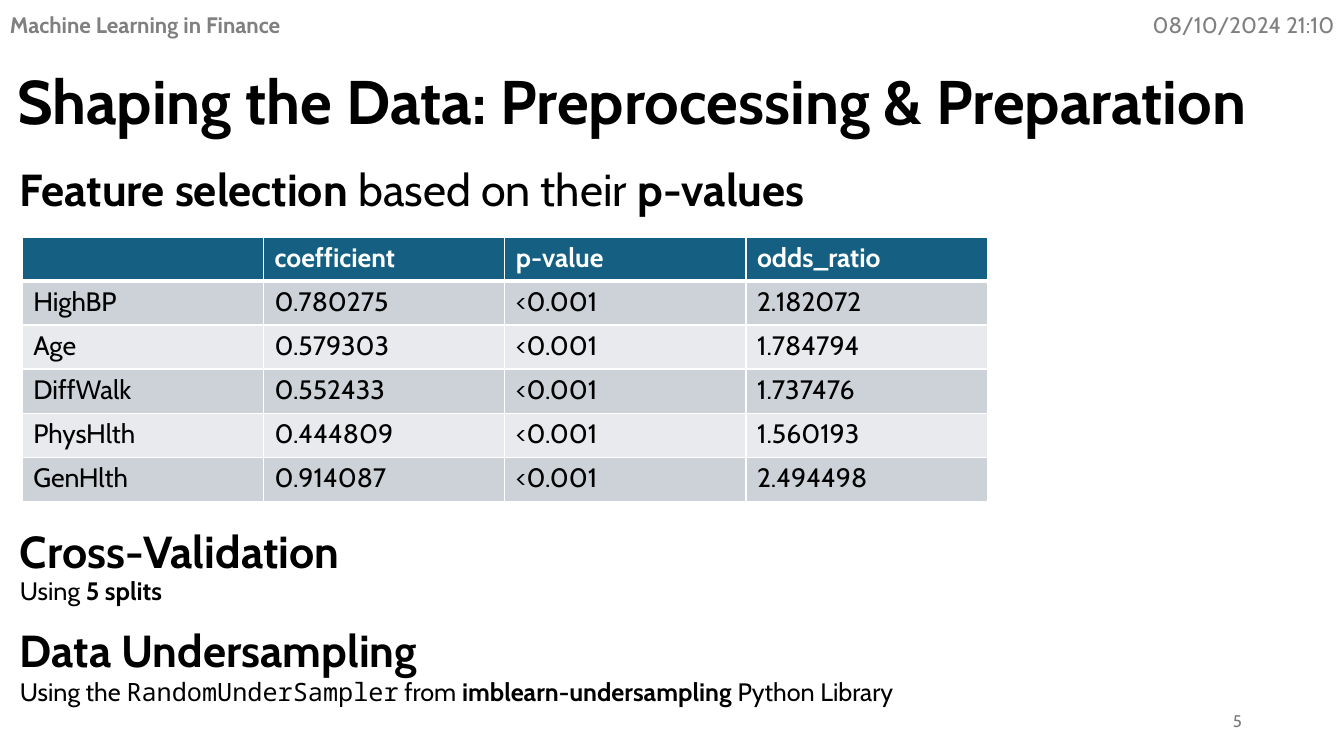
"""Build the preprocessing and preparation slide."""
from typing import NamedTuple, Optional

from lxml import etree
from pptx import Presentation
from pptx import util as u
from pptx.dml.color import RGBColor
from pptx.enum import text
from pptx.oxml import ns

FONT, MONO = "Cabin", "Noto Sans Mono"
BLACK, WHITE, GRAY, PAGE_GRAY = "000000", "FFFFFF", "808080", "797979"
HEADER_FILL, BAND_FILLS = "156082", ("CCD2D8", "E8EAED")
LEFT, ALIGN_RIGHT = text.PP_ALIGN.LEFT, text.PP_ALIGN.RIGHT
TOP, MIDDLE = text.MSO_ANCHOR.TOP, text.MSO_ANCHOR.MIDDLE
COL_WIDTH, ROW_HEIGHT = 6.08, 1.11


class Run(NamedTuple):
    text: str
    bold: bool = False
    font: str = FONT


class Label(NamedTuple):
    left: float
    top: float
    width: float
    height: float
    size: int
    runs: tuple[Run, ...]
    color: str = BLACK
    align: text.PP_ALIGN = LEFT
    anchor: text.MSO_ANCHOR = TOP
    spacing: Optional[float] = None


def heading(top: float, *runs: Run) -> Label:
    return Label(0.25, top, 31.9, 1.63, 32, runs)


def detail(top: float, *runs: Run) -> Label:
    return Label(0.25, top, 31.9, 1.02, 18, runs)


LABELS = (
    Label(27.15, 0.23, 6.73, 0.91, 16, (Run("08/10/2024 21:10"),),
          GRAY, ALIGN_RIGHT, spacing=0.9),
    Label(0, 0.23, 8.18, 0.91, 16, (Run("Machine Learning in Finance", True),),
          GRAY, spacing=0.9),
    Label(0.18, 1.3, 33.07, 2.67, 44,
          (Run("Shaping the Data: Preprocessing & Preparation", True),),
          anchor=MIDDLE, spacing=0.9),
    heading(3.96, Run("Feature selection ", True), Run("based on their "),
            Run("p-values", True)),
    Label(23.93, 17.65, 7.62, 1.02, 12, (Run("5"),),
          PAGE_GRAY, ALIGN_RIGHT, MIDDLE),
    heading(13.08, Run("Cross-Validation", True)),
    detail(14.38, Run("Using "), Run("5 splits", True)),
    heading(15.57, Run("Data Undersampling", True)),
    detail(16.92, Run("Using the "), Run("RandomUnderSampler", font=MONO),
           Run(" from "), Run("imblearn-undersampling ", True),
           Run("Python Library")),
)

FEATURES = (
    ("", "coefficient", "p-value", "odds_ratio"),
    ("HighBP", "0.780275", "<0.001", "2.182072"),
    ("Age", "0.579303", "<0.001", "1.784794"),
    ("DiffWalk", "0.552433", "<0.001", "1.737476"),
    ("PhysHlth", "0.444809", "<0.001", "1.560193"),
    ("GenHlth", "0.914087", "<0.001", "2.494498"),
)


def rgb(value: str) -> RGBColor:
    return RGBColor.from_string(value)


def write(p, runs: tuple[Run, ...], size: int, color: str) -> None:
    p.font.size = u.Pt(size)
    p.font.name = FONT
    p.font.color.rgb = rgb(color)
    same_weight = len({run.bold for run in runs}) == 1
    if same_weight:
        p.font.bold = runs[0].bold
    for run in runs:
        r = p.add_run()
        r.text = run.text
        if not same_weight:
            r.font.bold = run.bold
        if run.font != FONT:
            r.font.name = run.font


def add_label(s, label: Label) -> None:
    sp = s.shapes.add_textbox(u.Cm(label.left), u.Cm(label.top),
                              u.Cm(label.width), u.Cm(label.height))
    tf = sp.text_frame
    tf.word_wrap = True
    tf.vertical_anchor = label.anchor
    p = tf.paragraphs[0]
    p.alignment = label.align
    p.line_spacing = label.spacing
    write(p, label.runs, label.size, label.color)


def add_border(cell, side: str, width: float) -> None:
    tc_pr = cell._tc.get_or_add_tcPr()
    line = etree.SubElement(tc_pr, ns.qn(f"a:ln{side}"), w=str(u.Pt(width)))
    fill = etree.SubElement(line, ns.qn("a:solidFill"))
    etree.SubElement(fill, ns.qn("a:srgbClr"), val=WHITE)


def add_features(s) -> None:
    n_rows, n_cols = len(FEATURES), len(FEATURES[0])
    table = s.shapes.add_table(n_rows, n_cols, u.Cm(0.56), u.Cm(5.97),
                               u.Cm(n_cols * COL_WIDTH),
                               u.Cm(n_rows * ROW_HEIGHT)).table
    for column in table.columns:
        column.width = u.Cm(COL_WIDTH)
    for i, values in enumerate(FEATURES):
        table.rows[i].height = u.Cm(ROW_HEIGHT)
        header = i == 0
        for j, value in enumerate(values):
            cell = table.cell(i, j)
            cell.margin_left = cell.margin_right = u.Cm(0.28)
            cell.margin_top = cell.margin_bottom = u.Cm(0.13)
            for side in "LRTB":
                under_header = (i, side) in ((0, "B"), (1, "T"))
                add_border(cell, side, 3 if under_header else 1)
            cell.fill.solid()
            cell.fill.fore_color.rgb = rgb(
                HEADER_FILL if header else BAND_FILLS[(i - 1) % 2])
            if value:
                write(cell.text_frame.paragraphs[0], (Run(value, header),),
                      19, WHITE if header else BLACK)


def main() -> None:
    prs = Presentation()
    prs.slide_width, prs.slide_height = u.Cm(33.87), u.Cm(19.05)
    s = prs.slides.add_slide(prs.slide_layouts[6])
    for label in LABELS:
        add_label(s, label)
    add_features(s)
    prs.save("out.pptx")


if __name__ == "__main__":
    main()
